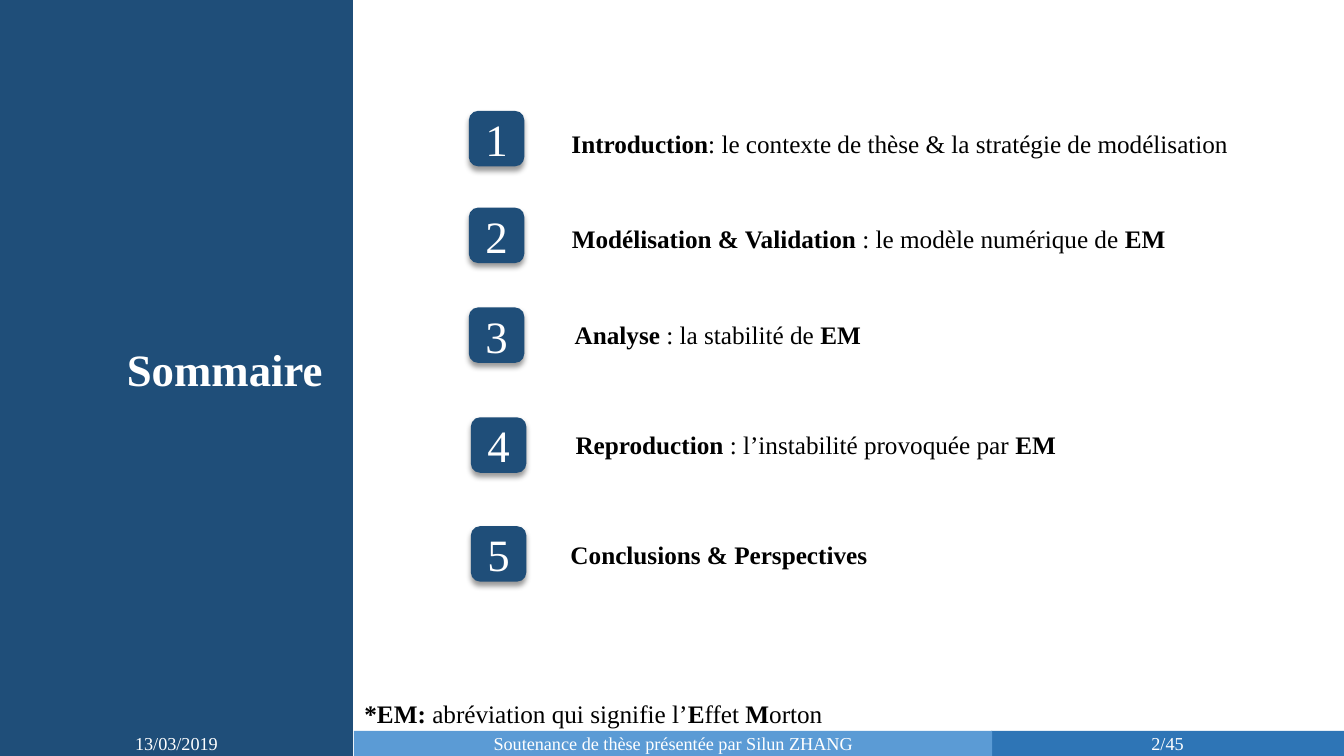
from dataclasses import dataclass

from lxml import etree
from pptx import Presentation
from pptx.dml.color import RGBColor
from pptx.enum.shapes import MSO_SHAPE
from pptx.enum.text import MSO_ANCHOR, MSO_AUTO_SIZE, PP_ALIGN
from pptx.oxml.ns import qn
from pptx.shapes.autoshape import Shape
from pptx.slide import Slide
from pptx.text.text import TextFrame
from pptx.util import Inches, Pt

RECTANGLE = MSO_SHAPE.RECTANGLE
ROUNDED = MSO_SHAPE.ROUNDED_RECTANGLE
MIDDLE = MSO_ANCHOR.MIDDLE
GROW = MSO_AUTO_SIZE.SHAPE_TO_FIT_TEXT
LEFT, CENTER = PP_ALIGN.LEFT, PP_ALIGN.CENTER

FONT = "Times New Roman"
COLORS = {
    "navy": "1F4E79",
    "blue": "2E75B6",
    "sky": "5B9BD5",
    "white": "FFFFFF",
    "black": "000000",
}
BADGE_SIZE = 0.55
FOOTER_TOP, FOOTER_HEIGHT = 7.25, 0.25
LABEL_HEIGHT = 0.4


@dataclass
class Label:
    left: float
    top: float
    width: float
    spans: tuple[str, ...]
    align: PP_ALIGN = CENTER


@dataclass
class Chapter:
    badge_left: float
    badge_top: float
    label: Label


@dataclass
class FooterPart:
    left: float
    width: float
    color: str
    text: str


CHAPTERS = [
    Chapter(4.65, 1.1, Label(5.54, 1.22, 6.77, (
        "Introduction", ": le contexte de thèse & la stratégie de modélisation"))),
    Chapter(4.65, 2.06, Label(5.54, 2.17, 6.15, (
        "Modélisation & Validation", " : le modèle numérique de ", "EM"))),
    Chapter(4.65, 3.05, Label(5.6, 3.12, 3.04, (
        "Analyse ", ": la stabilité de ", "EM"))),
    Chapter(4.67, 4.14, Label(5.61, 4.21, 4.99, (
        "Reproduction", " : l’instabilité provoquée par ", "EM"), LEFT)),
    Chapter(4.67, 5.22, Label(5.54, 5.3, 3.18, ("Conclusions & Perspectives",))),
]
TITLE = Label(1.15, 3.34, 2.16, ("Sommaire",))
FOOTNOTE = Label(3.49, 6.88, 4.79, (
    "*EM: ", "abréviation qui signifie l’", "E", "ffet ", "M", "orton"))
FOOTER = [
    FooterPart(9.83, 3.5, "blue", "2/45"),
    FooterPart(0, 3.5, "navy", "13/03/2019"),
    FooterPart(3.51, 6.33, "sky", "Soutenance de thèse présentée par Silun ZHANG"),
]


def rgb(color: str) -> RGBColor:
    return RGBColor.from_string(COLORS[color])


def write_spans(frame: TextFrame, spans: tuple[str, ...], size: float, color: str,
                align: PP_ALIGN = CENTER, bold_first: bool = False) -> None:
    para = frame.paragraphs[0]
    para.alignment = align
    for index, text in enumerate(spans):
        span = para.add_run()
        span.text = text
        span.font.name = FONT
        span.font.size = Pt(size)
        span.font.bold = bold_first and index % 2 == 0
        span.font.color.rgb = rgb(color)


def add_block(page: Slide, preset: MSO_SHAPE, left: float, top: float, width: float,
              height: float, color: str, text: str = "", size: float = 13) -> Shape:
    block = page.shapes.add_shape(
        preset, Inches(left), Inches(top), Inches(width), Inches(height))
    block.shadow.inherit = False
    block.fill.solid()
    block.fill.fore_color.rgb = rgb(color)
    block.line.fill.background()
    block.text_frame.vertical_anchor = MIDDLE
    if text:
        write_spans(block.text_frame, (text,), size, "white")
    return block


def add_shadow(block: Shape) -> None:
    effects = block.element.spPr.find(qn("a:effectLst"))
    shadow = etree.SubElement(
        effects, qn("a:outerShdw"), blurRad=str(Pt(4)), dist=str(Pt(3)),
        dir="5400000", algn="t", rotWithShape="0")
    tint = etree.SubElement(shadow, qn("a:srgbClr"), val=COLORS["black"])
    etree.SubElement(tint, qn("a:alpha"), val="40000")


def add_label(page: Slide, label: Label, size: float = 18, color: str = "black",
              height: float = LABEL_HEIGHT) -> None:
    box = page.shapes.add_textbox(
        Inches(label.left), Inches(label.top), Inches(label.width), Inches(height))
    box.text_frame.word_wrap = False
    box.text_frame.auto_size = GROW
    write_spans(box.text_frame, label.spans, size, color, label.align, bold_first=True)


def main() -> None:
    deck = Presentation()
    deck.slide_width, deck.slide_height = Inches(13.33), Inches(7.5)
    page = deck.slides.add_slide(deck.slide_layouts[6])

    sidebar = add_block(page, RECTANGLE, -0.01, 0, 3.5, 7.5, "navy")
    sidebar.line.color.rgb = rgb("navy")
    sidebar.line.width = Pt(1)
    add_label(page, TITLE, 32, "white", 0.64)

    for number, chapter in enumerate(CHAPTERS, start=1):
        badge = add_block(page, ROUNDED, chapter.badge_left, chapter.badge_top,
                          BADGE_SIZE, BADGE_SIZE, "navy", str(number), 32)
        add_shadow(badge)
        add_label(page, chapter.label)

    for part in FOOTER:
        add_block(page, RECTANGLE, part.left, FOOTER_TOP, part.width, FOOTER_HEIGHT,
                  part.color, part.text)
    add_label(page, FOOTNOTE)

    deck.save("out.pptx")


if __name__ == "__main__":
    main()
